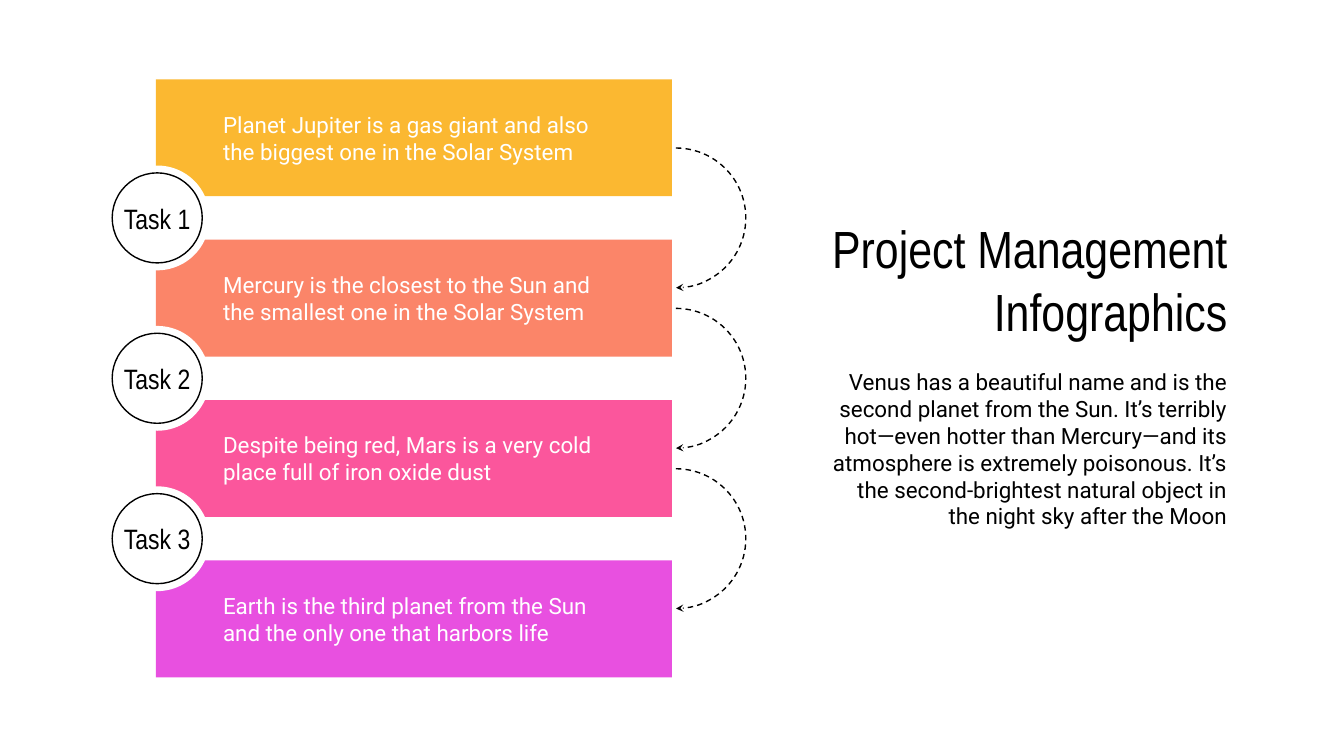
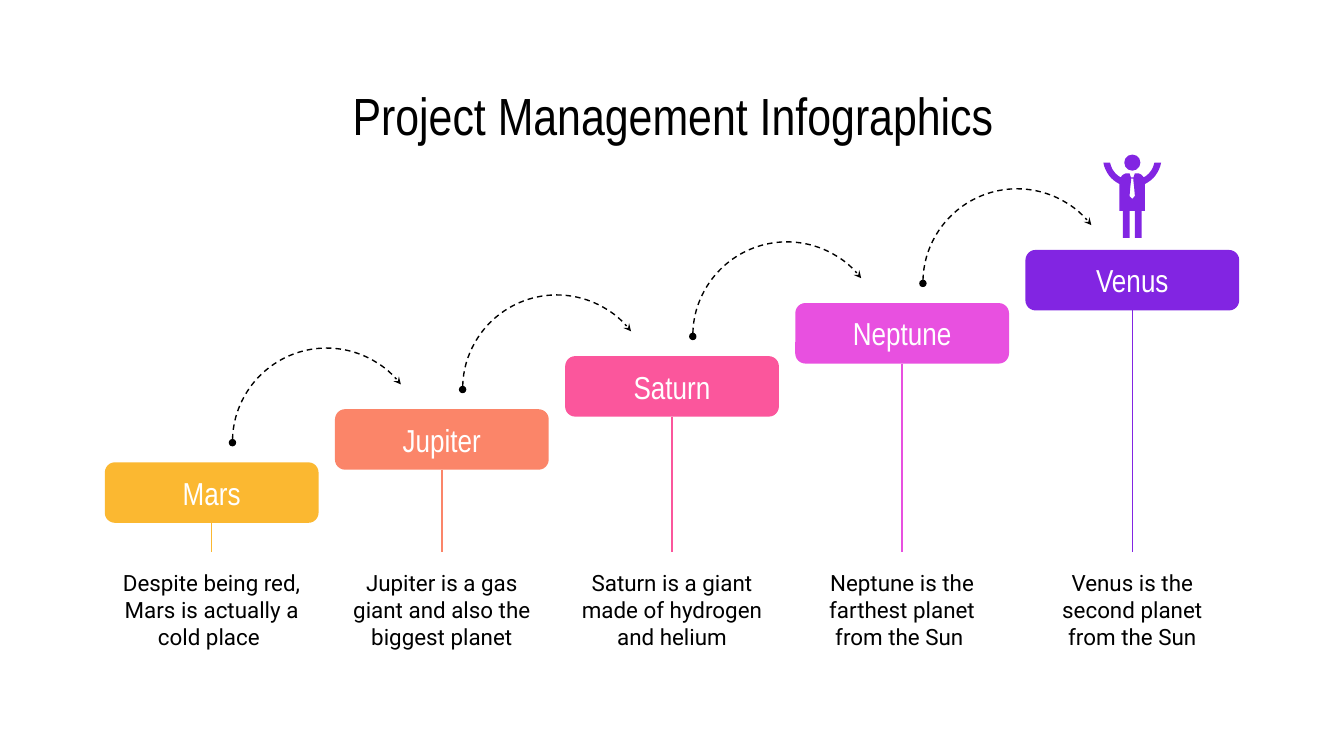
"""Two project management infographics: a task list and a staircase."""
from lxml import etree
from pptx import Presentation
from pptx.dml.color import RGBColor
from pptx.enum import dml, shapes as kinds, text as txt
from pptx.oxml.ns import qn
from pptx.util import Inches, Pt

HUES = {"gold": "FBB831", "coral": "FB8569", "pink": "FB569C",
        "orchid": "E850E0", "violet": "8225E2", "white": "FFFFFF",
        "black": "000000"}
HEAD, BODY = "Arial Narrow", "Roboto"
TITLE = "Project Management Infographics"
SHAPE = kinds.MSO_SHAPE
ALIGN = txt.PP_ALIGN

BARS = [
    ("gold", "Planet Jupiter is a gas giant and also the biggest one in the Solar System"),
    ("coral", "Mercury is the closest to the Sun and the smallest one in the Solar System"),
    ("pink", "Despite being red, Mars is a very cold place full of iron oxide dust"),
    ("orchid", "Earth is the third planet from the Sun and the only one that harbors life"),
]
VENUS = ("Venus has a beautiful name and is the second planet from the Sun. "
         "It’s terribly hot—even hotter than Mercury—and its atmosphere is "
         "extremely poisonous. It’s the second-brightest natural object in "
         "the night sky after the Moon")
STEPS = [
    ("gold", "Mars", "Despite being red, Mars is actually a cold place "),
    ("coral", "Jupiter", "Jupiter is a gas giant and also the biggest planet"),
    ("pink", "Saturn", "Saturn is a giant made of hydrogen and helium"),
    ("orchid", "Neptune", "Neptune is the farthest planet\vfrom the Sun "),
    ("violet", "Venus", "Venus is the second planet from the Sun"),
]


def hue(name):
    """Return the named colour."""
    return RGBColor.from_string(HUES[name])


def write(shape, words, size, font, ink="black", align=ALIGN.CENTER,
          pad=0.1, wrap=True):
    """Fill a shape with one centred-height paragraph."""
    frame = shape.text_frame
    frame.word_wrap = wrap
    frame.auto_size = txt.MSO_AUTO_SIZE.NONE
    frame.vertical_anchor = txt.MSO_ANCHOR.MIDDLE
    frame.margin_left = frame.margin_right = Inches(pad)
    frame.margin_top = frame.margin_bottom = Inches(0.1)
    para = frame.paragraphs[0]
    para.text = words
    para.alignment = align
    para.font.size = Pt(size)
    para.font.name = font
    para.font.color.rgb = hue(ink)


def paint(shape, fill=None, line=None):
    """Set fill and outline, leaving out whatever is not named."""
    shape.shadow.inherit = False
    if fill:
        shape.fill.solid()
        shape.fill.fore_color.rgb = hue(fill)
    else:
        shape.fill.background()
    if line:
        shape.line.color.rgb = hue(line)
        shape.line.width = Pt(0.75)
    else:
        shape.line.fill.background()


def draw(slide, kind, x, y, w, h, fill=None, line=None):
    """Add a painted preset shape."""
    shape = slide.shapes.add_shape(kind, *map(Inches, (x, y, w, h)))
    paint(shape, fill, line)
    return shape


def label(slide, box, words, align=ALIGN.CENTER):
    """Add a body text box."""
    note = slide.shapes.add_textbox(*map(Inches, box))
    write(note, words, 12, BODY, align=align)


def head(slide, box, align):
    """Place and format the title."""
    title = slide.shapes.title
    title.left, title.top, title.width, title.height = map(Inches, box)
    write(title, TITLE, 28, HEAD, align=align)


def disc(slide, x, y, size, line=None):
    """Add a white circle around a centre."""
    return draw(slide, SHAPE.OVAL, x - size / 2, y - size / 2, size, size,
                "white", line)


def arrow(slide, x, y, size, turn, dot=False):
    """Add a dashed arc that ends in a small arrowhead."""
    arc = draw(slide, SHAPE.ARC, x, y, size, size, line="black")
    arc.adjustments[0], arc.adjustments[1] = turn
    arc.line.dash_style = dml.MSO_LINE.DASH
    ln = arc._element.spPr.find(qn("a:ln"))
    small = {"w": "sm", "len": "sm"}
    if dot:
        etree.SubElement(ln, qn("a:headEnd"), type="oval", **small)
    etree.SubElement(ln, qn("a:tailEnd"), type="stealth", **small)


def stem(slide, top, end, color):
    """Drop a line from the bottom of a label."""
    mid = top.left + top.width // 2
    line = slide.shapes.add_connector(
        kinds.MSO_CONNECTOR.STRAIGHT, mid, top.top + top.height, mid, Inches(end))
    line.begin_connect(top, 2)
    line.line.color.rgb = hue(color)
    line.line.width = Pt(0.75)
    etree.SubElement(line._element.spPr, qn("a:effectLst"))


def curve(a, b, c, d, count=8):
    """Return points along a cubic curve, without its start."""
    spots = []
    for i in range(1, count + 1):
        t = i / count
        s = 1 - t
        spots.append(tuple(s**3 * p + 3 * s * s * t * q + 3 * s * t * t * r + t**3 * v
                           for p, q, r, v in zip(a, b, c, d)))
    return spots


def mirror(half):
    """Close a right half with its reflection, in thousandths of an inch."""
    full = half + [(-x, y) for x, y in reversed(half)]
    return [(x * 10, y * 10) for x, y in full]


def man(slide, x, y, color):
    """Draw a cheering figure below a top centre point."""
    draw(slide, SHAPE.OVAL, x - 0.06, y, 0.12, 0.12, color)
    coat = [(1, 11), (2, 8), (4, 8)]
    coat += curve((4, 8), (6, 8), (7.5, 9.5), (8.5, 11))
    coat += curve((8.5, 11), (12.5, 9), (15.5, 5), (16.5, 0))
    coat += [(21.5, 0)]
    coat += curve((21.5, 0), (20.5, 7), (15.5, 13), (9.5, 16))
    coat += [(9.5, 36), (7, 36), (7, 56), (2, 56), (2, 36)]
    tie = [(1, 12), (0.8, 13), (1.4, 18), (2, 25), (0, 27)]
    coat, tie = mirror(coat), mirror(tie)
    pen = slide.shapes.build_freeform(*coat[0], scale=914.4)
    pen.add_line_segments(coat[1:], close=True)
    pen.move_to(*tie[0])
    pen.add_line_segments(tie[1:], close=True)
    paint(pen.convert_to_shape(Inches(x), Inches(y + 0.06)), color)


def tasks(slide, x, y, w, h):
    """Stack the bars, with a task disc and an arrow at each gap."""
    tall = 0.87
    pitch = (h - tall) / (len(BARS) - 1)
    for i, (color, words) in enumerate(BARS):
        bar = draw(slide, SHAPE.RECTANGLE, x, y + i * pitch, w, tall, color)
        write(bar, words, 12, BODY, "white", ALIGN.LEFT, 0.5)
    for i in range(len(BARS) - 1):
        mid = y + i * pitch + (pitch + tall) / 2
        arrow(slide, x + w - 0.49, mid - 0.52, 1.04, (162, 53.96))
        disc(slide, x + 0.01, mid, 0.78)
        ring = disc(slide, x + 0.01, mid, 0.67, "black")
        write(ring, f"Task {i + 1}", 15, HEAD, pad=0, wrap=False)


def stairs(slide, x, y, w, h):
    """Climb the labels to the right, each with a stem and a note."""
    wide, tall, low = 1.59, 0.45, 0.69
    last = len(STEPS) - 1
    pitch, rise = (w - wide) / last, 1.58 / last
    foot = y + h - low
    for i, (color, name, words) in enumerate(STEPS):
        left, top = x + i * pitch, y + (last - i) * rise
        step = draw(slide, SHAPE.ROUNDED_RECTANGLE, left, top, wide, tall, color)
        write(step, name, 17, HEAD, "white")
        stem(slide, step, foot - 0.08, color)
        label(slide, (left, foot, wide, low), words)
        if i < last:
            arrow(slide, left + 0.95, top - 0.85, 1.4, (107.8, 193.31), True)
        else:
            man(slide, left + wide / 2, top - 0.71, color)


def main():
    """Build both slides and save them."""
    deck = Presentation()
    deck.slide_width = Inches(10)
    deck.slide_height = Inches(10 * 9 / 16)
    plain = deck.slide_layouts[5]

    slide = deck.slides.add_slide(plain)
    tasks(slide, 1.16, 0.59, 3.84, 4.45)
    head(slide, (5.93, 1.61, 3.3, 0.93), ALIGN.RIGHT)
    label(slide, (6.06, 2.66, 3.17, 1.36), VENUS, ALIGN.RIGHT)

    slide = deck.slides.add_slide(plain)
    head(slide, (0.78, 0.59, 8.45, 0.53), ALIGN.CENTER)
    stairs(slide, 0.78, 1.86, 8.44, 3.02)
    deck.save("out.pptx")


if __name__ == "__main__":
    main()
